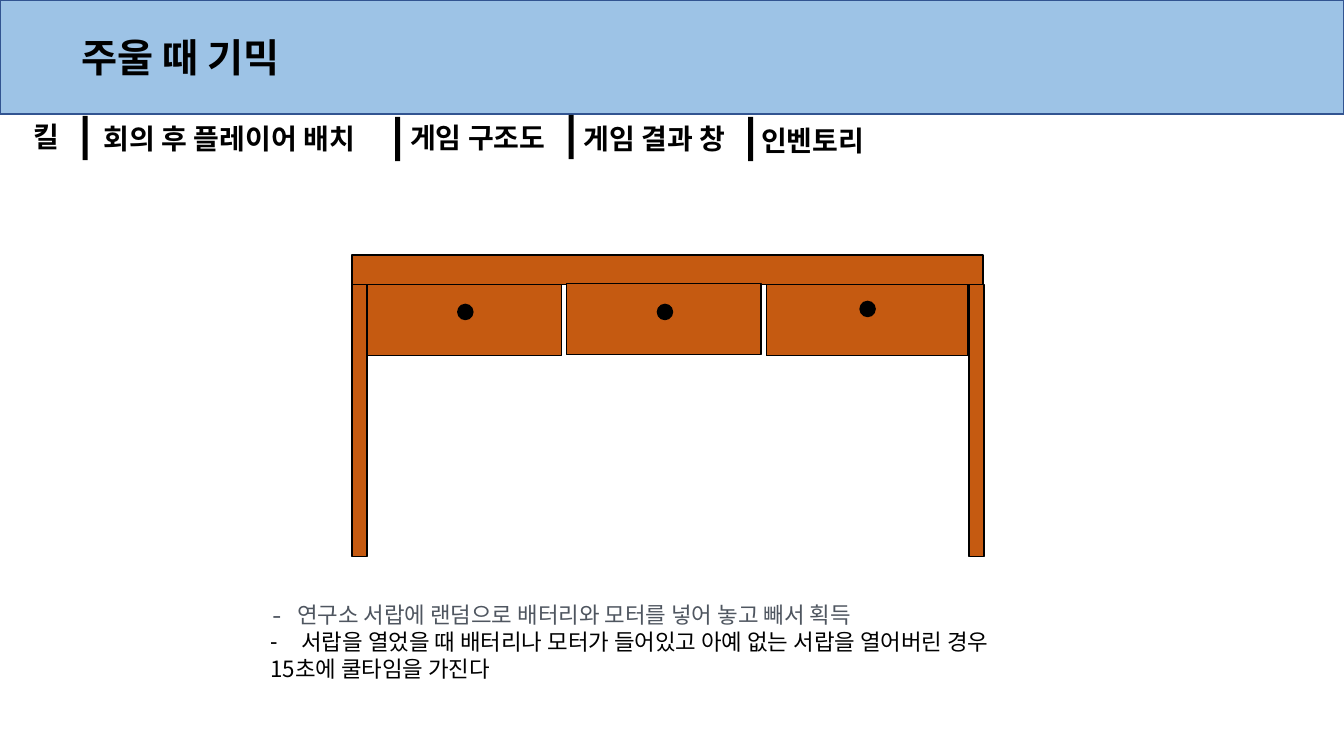
from typing import NamedTuple

from lxml.etree import SubElement
from pptx import Presentation
from pptx.dml.color import RGBColor
from pptx.enum.shapes import MSO_SHAPE as Preset
from pptx.enum.text import MSO_ANCHOR as Anchor, MSO_AUTO_SIZE as AutoSize, PP_ALIGN as Align
from pptx.oxml.ns import qn
from pptx.util import Inches, Pt

COLORS = {
    "band": "9DC3E6",
    "band_line": "325491",
    "wood": "C55A11",
    "black": "000000",
    "grey": "4F5660",
}
KOREAN_FONT = "Noto Sans CJK KR"
MONO_FONT = "Noto Sans Mono"
LINE_HEIGHT = 1.21


class Box(NamedTuple):
    left: float
    top: float
    width: float
    height: float


class Tab(NamedTuple):
    text: str
    box: Box


class Drawer(NamedTuple):
    top: float
    width: float
    knob_left: float
    knob_top: float


TABS = [
    Tab("킬", Box(0.23, 1.13, 0.5, 0.44)),
    Tab("회의 후 플레이어 배치", Box(0.93, 1.15, 3.03, 0.44)),
    Tab("게임 구조도", Box(3.97, 1.14, 1.7, 0.44)),
    Tab("게임 결과 창", Box(5.69, 1.15, 1.84, 0.44)),
    Tab("인벤토리", Box(7.45, 1.17, 1.31, 0.44)),
]
SEPARATORS = [(0.82, 1.15), (3.92, 1.16), (5.64, 1.14), (7.42, 1.16)]

TABLE_TOP = Box(3.49, 2.53, 6.26, 0.29)
LEG_LEFTS = [3.49, 9.61]
DRAWERS = [
    Drawer(2.82, 1.93, 4.54, 3.02),
    Drawer(2.81, 1.93, 6.52, 3.02),
    Drawer(2.82, 2.0, 8.53, 2.99),
]
FIRST_DRAWER_LEFT, DRAWER_STEP = 3.64, 1.98
KNOB_SIZE = 0.15


def color(name: str) -> RGBColor:
    return RGBColor.from_string(COLORS[name])


def place(shape, box: Box) -> None:
    shape.left, shape.top, shape.width, shape.height = map(Inches, box)


def add_block(slide, box: Box, fill: str, line: str | None = None, preset=Preset.RECTANGLE):
    shape = slide.shapes.add_shape(preset, *map(Inches, box))
    shape.shadow.inherit = False
    shape.fill.solid()
    shape.fill.fore_color.rgb = color(fill)
    if line:
        shape.line.color.rgb = color(line)
        shape.line.width = Pt(1)
    else:
        shape.line.fill.background()
    return shape


def prepare_frame(shape, wrap: bool = True):
    frame = shape.text_frame
    frame.word_wrap = wrap
    frame.auto_size = AutoSize.NONE
    frame.vertical_anchor = Anchor.TOP
    return frame


def write(paragraph, text: str, *, size: float, bold: bool = False, ink: str = "black",
          font: str = KOREAN_FONT, bullet: str = "", indent: float = 0) -> None:
    paragraph.alignment = Align.LEFT
    paragraph.space_before = paragraph.space_after = Pt(0)
    paragraph.line_spacing = Pt(round(size * LINE_HEIGHT, 1))
    properties = paragraph._p.get_or_add_pPr()
    properties.set("marL", str(Inches(indent)))
    properties.set("indent", str(-Inches(indent)))
    if bullet:
        SubElement(properties, qn("a:buChar"), char=bullet)
    else:
        SubElement(properties, qn("a:buNone"))

    run = paragraph.add_run()
    run.text = text
    run.font.size = Pt(size)
    run.font.bold = bold
    run.font.name = font
    run.font.color.rgb = color(ink)
    SubElement(run._r.get_or_add_rPr(), qn("a:ea"), typeface=KOREAN_FONT)


def add_header(slide) -> None:
    band = add_block(slide, Box(0, 0, 13.33, 1.13), "band", "band_line")
    slide.shapes._spTree.insert(2, band._element)  # behind the title placeholder
    title = slide.shapes.title
    place(title, Box(0.71, 0.28, 10.29, 0.57))
    write(prepare_frame(title).paragraphs[0], "주울 때 기믹", size=28, bold=True)


def add_tabs(slide) -> None:
    for tab in TABS:
        label = slide.shapes.add_textbox(*map(Inches, tab.box))
        write(prepare_frame(label, wrap=False).paragraphs[0], tab.text, size=20, bold=True)
    for left, top in SEPARATORS:
        add_block(slide, Box(left, top, 0.05, 0.44), "black")


def add_desk(slide) -> None:
    add_block(slide, TABLE_TOP, "wood", "black")
    for left in LEG_LEFTS:
        add_block(slide, Box(left, 2.82, 0.15, 2.7), "wood", "black")
    for index, drawer in enumerate(DRAWERS):
        left = FIRST_DRAWER_LEFT + index * DRAWER_STEP
        add_block(slide, Box(left, drawer.top, drawer.width, 0.71), "wood", "black")
        knob = Box(drawer.knob_left, drawer.knob_top, KNOB_SIZE, KNOB_SIZE)
        add_block(slide, knob, "black", "black", Preset.OVAL)


def add_description(slide) -> None:
    body = slide.placeholders[1]
    place(body, Box(2.58, 5.91, 8.2, 0.91))
    frame = prepare_frame(body)
    write(frame.paragraphs[0], "- 연구소 서랍에 랜덤으로 배터리와 모터를 넣어 놓고 빼서 획득",
          size=16, ink="grey", font=MONO_FONT)
    write(frame.add_paragraph(),
          "서랍을 열었을 때 배터리나 모터가 들어있고 아예 없는 서랍을 열어버린 경우",
          size=16, bullet="-", indent=0.31)
    write(frame.add_paragraph(), "15초에 쿨타임을 가진다", size=16)


def main() -> None:
    presentation = Presentation()
    presentation.slide_width, presentation.slide_height = Inches(13.33), Inches(7.5)
    slide = presentation.slides.add_slide(presentation.slide_layouts[1])
    add_header(slide)
    add_tabs(slide)
    add_desk(slide)
    add_description(slide)
    presentation.save("out.pptx")


if __name__ == "__main__":
    main()
